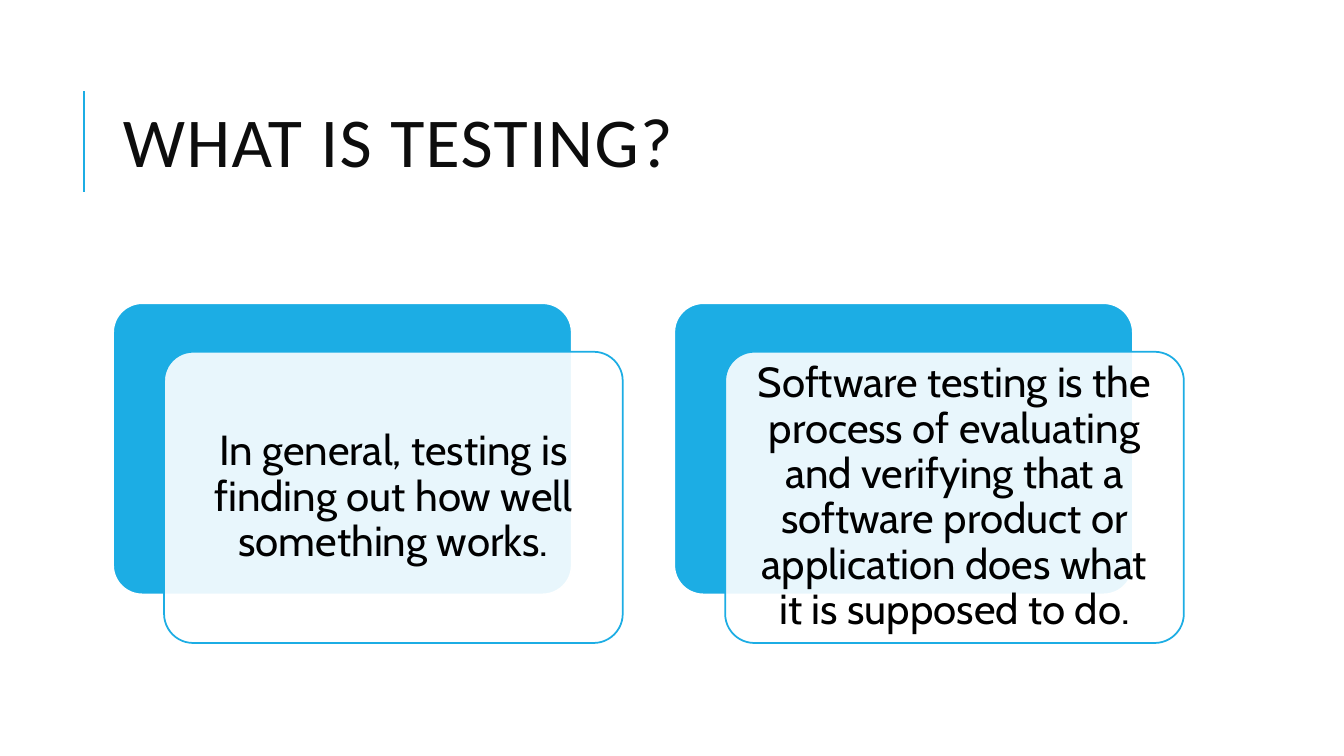
from lxml import etree
from pptx import Presentation
from pptx.dml.color import RGBColor
from pptx.enum import shapes, text
from pptx.oxml import ns
from pptx.util import Pt

COLORS = {"accent": "1CADE4", "white": "FFFFFF", "title": "0D0D0D", "body": "000000"}

CARD_LEFT, CARD_TOP = 80.8, 216.6
CARD_WIDTH, CARD_HEIGHT = 327.6, 208
CARD_PITCH = 400.8
FRONT_SHIFT_X, FRONT_SHIFT_Y = 36.4, 34.7
TEXT_MARGIN = 6.1

STATEMENTS = [
    "In general, testing is finding out how well something works.",
    "Software testing is the process of evaluating and verifying that a "
    "software product or application does what it is supposed to do.",
]


class SlideBuilder:
    """Adds styled elements to one slide; all lengths are in points."""

    def __init__(self, slide):
        self.slide = slide

    def color(self, name):
        return RGBColor.from_string(COLORS[name])

    def line(self, x1, y1, x2, y2, color, width):
        connector = self.slide.shapes.add_connector(
            shapes.MSO_CONNECTOR.STRAIGHT, Pt(x1), Pt(y1), Pt(x2), Pt(y2))
        connector.line.color.rgb = self.color(color)
        connector.line.width = Pt(width)
        etree.SubElement(connector._element.spPr, ns.qn("a:effectLst"))

    def panel(self, left, top, fill, outline, opacity=100):
        """Add a rounded card; opacity is a percentage."""
        shape = self.slide.shapes.add_shape(
            shapes.MSO_SHAPE.ROUNDED_RECTANGLE,
            Pt(left), Pt(top), Pt(CARD_WIDTH), Pt(CARD_HEIGHT))
        shape.adjustments[0] = 0.1
        shape.shadow.inherit = False
        shape.fill.solid()
        shape.fill.fore_color.rgb = self.color(fill)
        shape.line.color.rgb = self.color(outline)
        shape.line.width = Pt(1.25)
        if opacity < 100:
            fill_color = shape._element.spPr.find(ns.qn("a:solidFill"))[0]
            alpha = etree.SubElement(fill_color, ns.qn("a:alpha"))
            alpha.set("val", str(opacity * 1000))

    def text(self, box, words, font, size, color, align, line_spacing, inset, tracking=0):
        """Add a vertically centred text box; box is left, top, width, height."""
        frame = self.slide.shapes.add_textbox(*map(Pt, box)).text_frame
        frame.word_wrap = True
        frame.vertical_anchor = text.MSO_ANCHOR.MIDDLE
        frame.margin_left = frame.margin_right = Pt(inset)
        frame.margin_top = frame.margin_bottom = Pt(inset)
        paragraph = frame.paragraphs[0]
        paragraph.alignment = align
        paragraph.line_spacing = line_spacing
        run = paragraph.add_run()
        run.text = words
        run.font.name = font
        run.font.size = Pt(size)
        run.font.color.rgb = self.color(color)
        if tracking:
            run.font._element.set("spc", str(tracking * 100))

    def statement(self, left, top, words):
        """Add a solid card, a translucent card in front of it, and the words."""
        front_left, front_top = left + FRONT_SHIFT_X, top + FRONT_SHIFT_Y
        self.panel(left, top, "accent", "white")
        self.panel(front_left, front_top, "white", "accent", opacity=90)
        box = (front_left + TEXT_MARGIN, front_top + TEXT_MARGIN,
               CARD_WIDTH - 2 * TEXT_MARGIN, CARD_HEIGHT - 2 * TEXT_MARGIN)
        self.text(box, words, "Cabin", 30, "body", text.PP_ALIGN.CENTER, 0.9, inset=8.6)


def main():
    presentation = Presentation()
    presentation.slide_width, presentation.slide_height = Pt(960), Pt(540)
    slide = presentation.slides.add_slide(presentation.slide_layouts[6])
    builder = SlideBuilder(slide)

    builder.line(60, 136.8, 60, 64.8, "accent", 1.5)
    builder.text((80.8, 46, 765.4, 118), "WHAT IS TESTING?", "Calibri", 50, "title",
                 text.PP_ALIGN.LEFT, 0.8, inset=7.2, tracking=1)
    for index, words in enumerate(STATEMENTS):
        builder.statement(CARD_LEFT + index * CARD_PITCH, CARD_TOP, words)

    presentation.save("out.pptx")


if __name__ == "__main__":
    main()
